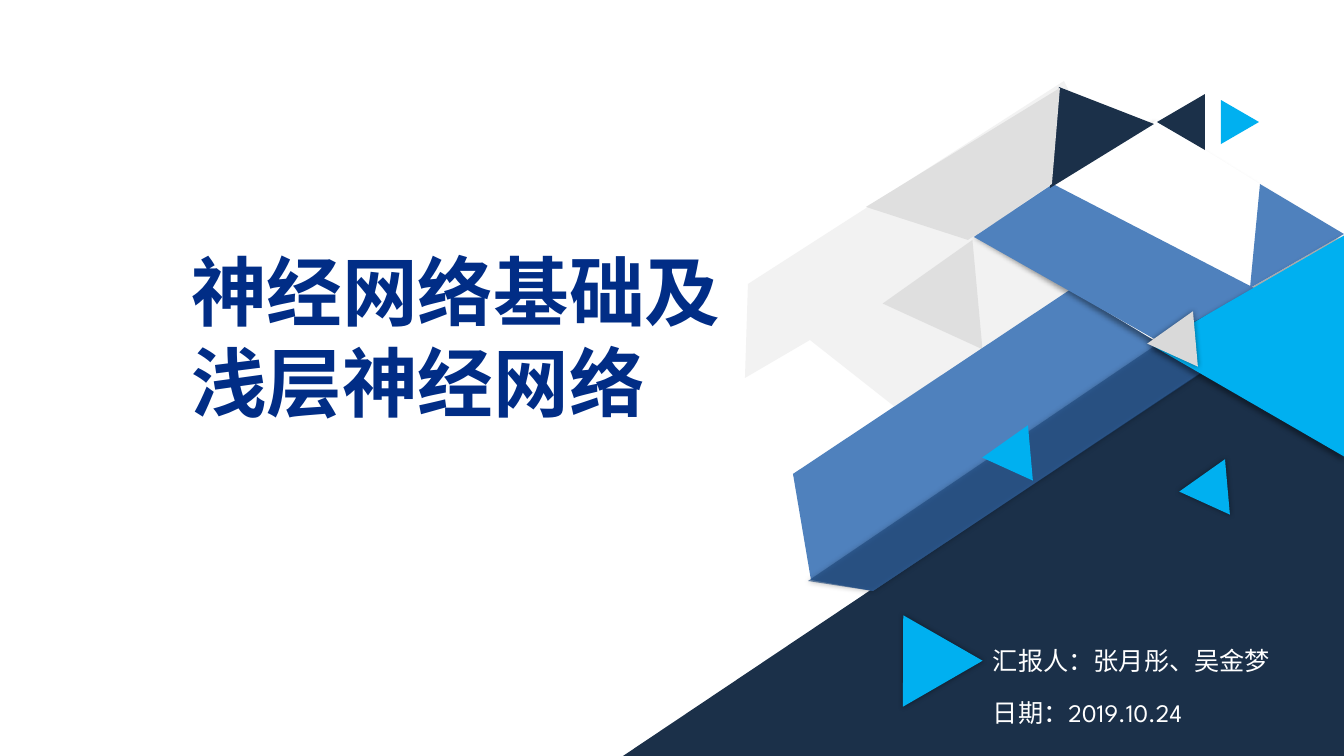
from lxml.etree import SubElement
from pptx import Presentation
from pptx.dml.color import RGBColor
from pptx.enum.shapes import MSO_SHAPE
from pptx.enum.text import MSO_ANCHOR, PP_ALIGN
from pptx.oxml.ns import qn
from pptx.util import Emu, Pt

FONT = "League Spartan"
NAVY, BLUE, CYAN = "1B3049", "4F81BD", "00B0F0"
TITLE = ("神经网络基础及浅层神经网络", (181, 240, 553, 194), 54, "012D86")
NOTES = [
    ("汇报人：张月彤、吴金梦", (983, 640, 368, 40), 18, "FFFFFF"),
    ("日期：2019.10.24", (983, 692, 300, 40), 18, "FFFFFF"),
]

# Shadow: distance in points and direction in degrees
GLOW, DROP = (0, 0), (3, 135)

# From back to front. Outline: points, fill, opacity, shadow
# Triangle: box, turn, fill, opacity, shadow
ART = [
    ("outline", [(904, 414), (810, 340), (745, 378), (748, 284), (1064, 81), (1149, 251)],
     "F2F2F2", 100, None),
    ("triangle", (900, 263, 110, 95), 144.7, "D9D9D9", 73, None),
    ("corner", (623, 273, 721, 483), 0, NAVY, 100, None),
    ("triangle", (877, 610, 92, 79), 330, CYAN, 100, GLOW),
    ("triangle", (1188, 471, 56, 48), 144.7, CYAN, 100, GLOW),
    ("outline", [(873, 591), (811, 580), (793, 474), (1187, 212), (1236, 349)],
     BLUE, 100, None),
    ("outline", [(873, 591), (808, 581), (1221, 301), (1236, 350)], "1F497D", 66, GLOW),
    ("triangle", (991, 437, 56, 48), 144.7, CYAN, 100, None),
    ("outline", [(978, 234), (1157, 120), (1342, 235), (1157, 342)], "FFFFFF", 100, DROP),
    ("outline", [(1158, 341), (974, 237), (1053, 184), (1256, 289)], BLUE, 100, None),
    ("outline", [(1250, 288), (1260, 184), (1344, 234)], BLUE, 100, None),
    ("triangle", (1138, 250, 222, 192), 270, CYAN, 100, DROP),
    ("triangle", (1156, 323, 56, 48), 144.7, "D9D9D9", 100, GLOW),
    ("triangle", (1153, 98, 56, 48), 270, NAVY, 100, None),
    ("triangle", (1218, 103, 44, 38), 90, CYAN, 100, None),
    ("outline", [(1050, 188), (1059, 87), (1154, 124)], NAVY, 100, None),
    ("outline", [(1060, 88), (1052, 184), (968, 240), (866, 207)], "DFDFDF", 100, None),
]


def px(n):
    return Emu(round(n * 914400 / 100.8))


def rgb(code):
    return RGBColor.from_string(code)


def paint(shape, color, alpha, shadow):
    shape.fill.solid()
    shape.fill.fore_color.rgb = rgb(color)
    shape.line.fill.background()
    shape.shadow.inherit = False
    props = shape._element.spPr
    if alpha < 100:
        tint = props.find(qn("a:solidFill"))[0]
        SubElement(tint, qn("a:alpha"), val=str(alpha * 1000))
    if shadow:
        dist, angle = shadow
        outer = SubElement(props.find(qn("a:effectLst")), qn("a:outerShdw"),
                           blurRad=str(Pt(4)), dist=str(Pt(dist)),
                           dir=str(angle * 60000), rotWithShape="0")
        tint = SubElement(outer, qn("a:srgbClr"), val="000000")
        SubElement(tint, qn("a:alpha"), val="40000")


def outline(shapes, points):
    start, *rest = [(px(x), px(y)) for x, y in points]
    pen = shapes.build_freeform(*start)
    pen.add_line_segments(rest, close=True)
    return pen.convert_to_shape()


def preset(shapes, kind, box, turn):
    form = MSO_SHAPE.RIGHT_TRIANGLE if kind == "corner" else MSO_SHAPE.ISOSCELES_TRIANGLE
    shape = shapes.add_shape(form, *map(px, box))
    shape.rotation = turn
    if kind == "corner":
        shape._element.spPr.xfrm.set("flipH", "1")
    return shape


def write(shape, text, box, size, color, bold=False):
    shape.left, shape.top, shape.width, shape.height = map(px, box)
    frame = shape.text_frame
    frame.word_wrap = True
    frame.vertical_anchor = MSO_ANCHOR.TOP
    frame.text = text
    para = frame.paragraphs[0]
    para.alignment = PP_ALIGN.LEFT
    font = para.font
    font.name, font.size, font.bold = FONT, Pt(size), bold
    font.color.rgb = rgb(color)


def main():
    deck = Presentation()
    deck.slide_width, deck.slide_height = px(1344), px(756)
    slide = deck.slides.add_slide(deck.slide_layouts[5])
    shapes = slide.shapes
    write(shapes.title, *TITLE, bold=True)
    for kind, *place, color, alpha, shadow in ART:
        if kind == "outline":
            shape = outline(shapes, *place)
        else:
            shape = preset(shapes, kind, *place)
        paint(shape, color, alpha, shadow)
    for text, box, size, color in NOTES:
        write(shapes.add_textbox(*map(px, box)), text, box, size, color)
    deck.save("out.pptx")


if __name__ == "__main__":
    main()
